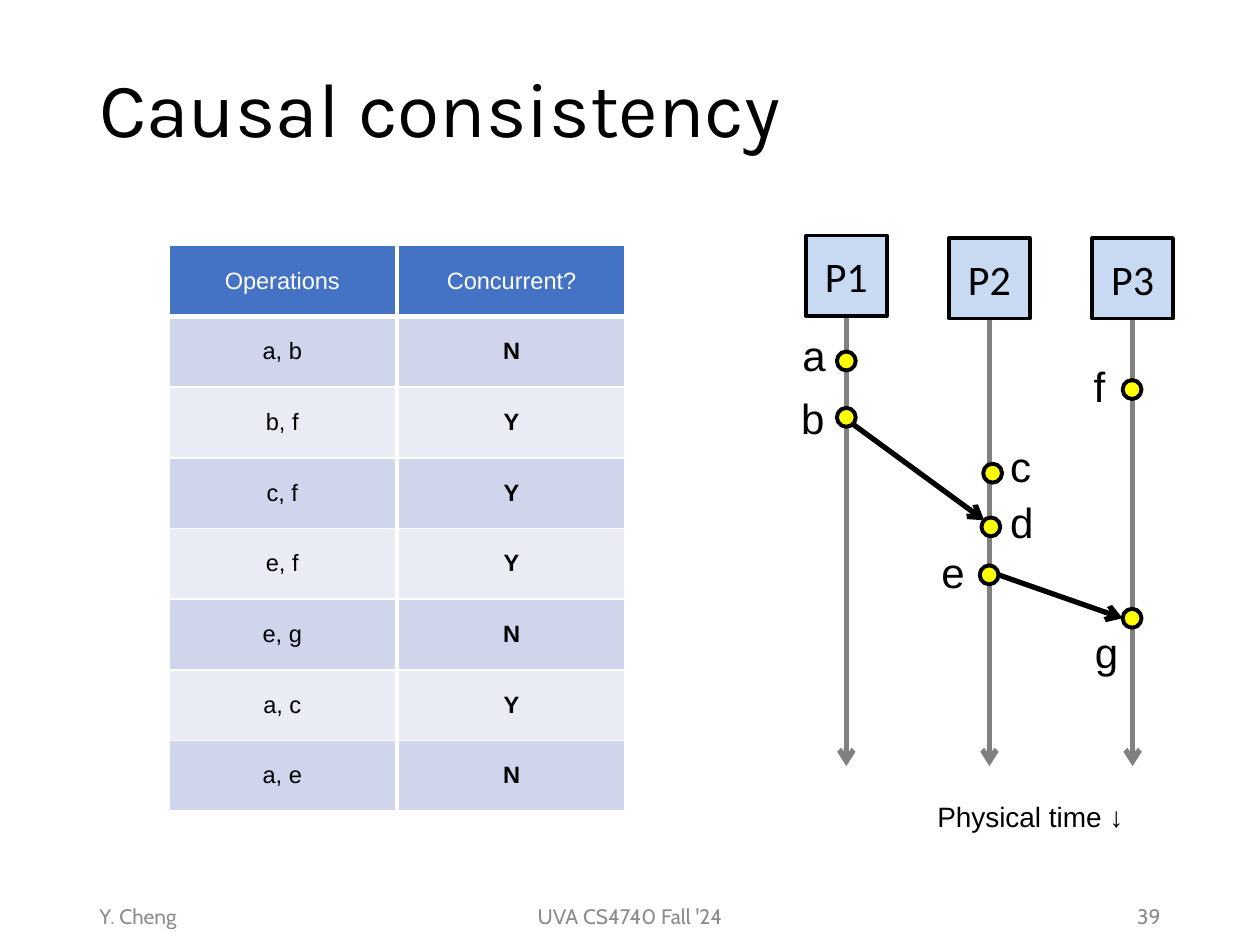
"""Build the causal consistency slide with its operation tables and process timelines."""
from dataclasses import dataclass

import pptx
import pptx.dml.color
import pptx.enum.shapes
import pptx.enum.text
import pptx.oxml
import pptx.oxml.ns
import pptx.util

Pt = pptx.util.Pt
ALIGN = pptx.enum.text.PP_ALIGN
ANCHOR = pptx.enum.text.MSO_ANCHOR
SHAPE = pptx.enum.shapes.MSO_SHAPE
COLORS = {
    "black": "000000", "white": "FFFFFF", "axis": "808080", "box": "C7DAF2",
    "dot": "FFFF00", "footer": "8C8C8C", "header": "4472C4",
    "band_dark": "CFD5EA", "band_light": "E9EBF5",
}
DOT = 10.8
BOX = 46
AXIS_END = 437.8


@dataclass
class Process:
    name: str
    x: float
    top: float


@dataclass
class Event:
    name: str
    x: float
    y: float
    label_x: float
    label_y: float


@dataclass
class Message:
    start: tuple[float, float]
    end: tuple[float, float]


@dataclass
class Caption:
    text: str
    box: tuple[float, float, float, float]
    font: str
    size: float
    color: str = "black"
    align: ALIGN = ALIGN.LEFT
    anchor: ANCHOR = ANCHOR.MIDDLE
    wrap: bool = True
    spacing: float = 1.0


PROCESSES = [
    Process("P1", 483.6, 134.6),
    Process("P2", 565.4, 136),
    Process("P3", 647.2, 136),
]
EVENTS = [
    Event("a", 483.6, 206.3, 451.4, 185),
    Event("b", 483.6, 238.5, 450.7, 220.6),
    Event("c", 567.2, 270.4, 570.2, 248),
    Event("d", 566.2, 301.1, 570.2, 280.3),
    Event("e", 565.2, 328.5, 530.8, 308.9),
    Event("f", 646.9, 222.6, 617.8, 202.5),
    Event("g", 646.9, 353.3, 618.5, 354.4),
]
MESSAGES = [
    Message((487.4, 242.4), (562.4, 297.3)),
    Message((570.6, 328.5), (641.5, 353.3)),
]
CAPTIONS = [
    Caption("Causal consistency", (49.7, 12.2, 620.6, 104.4), "Karla", 44, spacing=0.9),
    Caption("Physical time ↓", (528.5, 453.6, 123.1, 26.6), "Arial", 16,
            anchor=ANCHOR.TOP, wrap=False),
    Caption("Y. Cheng", (49.7, 509, 162, 28.8), "Cabin", 12, "footer"),
    Caption("UVA CS4740 Fall '24", (238.3, 509, 243.4, 28.8), "Cabin", 12,
            "footer", ALIGN.CENTER),
    Caption("39", (508.3, 509, 162, 28.8), "Cabin", 12, "footer", ALIGN.RIGHT),
]
TABLES = [
    (96.5, ["Operations", "a, b", "b, f", "c, f", "e, f", "e, g", "a, c", "a, e"], False),
    (227.5, ["Concurrent?", *"NYYYNYN"], True),
]


def rgb(name: str) -> pptx.dml.color.RGBColor:
    """Return the named colour."""
    return pptx.dml.color.RGBColor.from_string(COLORS[name])


def write(tf, text: str, font: str, size: float, color: str = "black",
          align: ALIGN = ALIGN.CENTER, bold: bool = False) -> None:
    """Write one formatted run into a text frame."""
    p = tf.paragraphs[0]
    p.alignment = align
    r = p.add_run()
    r.text = text
    for key, value in {"name": font, "size": Pt(size), "bold": bold}.items():
        setattr(r.font, key, value)
    r.font.color.rgb = rgb(color)


def add_caption(s, c: Caption) -> None:
    """Add a text box."""
    tf = s.shapes.add_textbox(*map(Pt, c.box)).text_frame
    for key, value in {"word_wrap": c.wrap, "vertical_anchor": c.anchor}.items():
        setattr(tf, key, value)
    write(tf, c.text, c.font, c.size, c.color, c.align)
    tf.paragraphs[0].line_spacing = c.spacing


def add_outlined(s, kind: SHAPE, x: float, y: float, size: float, fill: str):
    """Add a filled square or round shape with a black outline."""
    sp = s.shapes.add_shape(kind, Pt(x), Pt(y), Pt(size), Pt(size))
    sp.shadow.inherit = False
    sp.fill.solid()
    sp.fill.fore_color.rgb = rgb(fill)
    sp.line.color.rgb = rgb("black")
    sp.line.width = Pt(2.25)
    return sp


def add_arrow(s, start: tuple[float, float], end: tuple[float, float], color: str):
    """Add a straight connector with an open arrowhead."""
    line = s.shapes.add_connector(
        pptx.enum.shapes.MSO_CONNECTOR.STRAIGHT, *map(Pt, (*start, *end)))
    line.line.color.rgb = rgb(color)
    line.line.width = Pt(3)
    ns = pptx.oxml.ns.nsdecls("a")
    line.line._get_or_add_ln().append(
        pptx.oxml.parse_xml(f'<a:tailEnd {ns} type="arrow"/>'))
    line._element.spPr.append(pptx.oxml.parse_xml(f"<a:effectLst {ns}/>"))
    return line


def add_process(s, process: Process) -> None:
    """Add a process box and the time axis below it."""
    bottom = process.top + BOX
    axis = add_arrow(s, (process.x, bottom), (process.x, AXIS_END), "axis")
    sp = add_outlined(s, SHAPE.FLOWCHART_PROCESS, process.x - BOX / 2,
                      process.top, BOX, "box")
    sp.text_frame.vertical_anchor = ANCHOR.MIDDLE
    write(sp.text_frame, process.name, "Calibri", 24)
    axis.begin_connect(sp, 2)


def add_event(s, event: Event) -> None:
    """Add an event dot and its letter."""
    add_outlined(s, SHAPE.OVAL, event.x - DOT / 2, event.y - DOT / 2, DOT, "dot")
    add_caption(s, Caption(event.name, (event.label_x, event.label_y, 29, 36),
                           "Arial", 24, anchor=ANCHOR.TOP))


def add_column(s, left: float, values: list[str], bold: bool) -> None:
    """Add a one-column banded table."""
    row_height = 40.4
    table = s.shapes.add_table(len(values), 1, Pt(left), Pt(140.4), Pt(129.6),
                               Pt(row_height * len(values))).table
    ns = pptx.oxml.ns.nsdecls("a")
    for i, value in enumerate(values):
        table.rows[i].height = Pt(row_height)
        cell = table.cell(i, 0)
        cell.vertical_anchor = ANCHOR.MIDDLE
        for side in "LRTB":
            heavy = (i, side) in ((0, "B"), (1, "T"))
            cell._tc.get_or_add_tcPr().append(pptx.oxml.parse_xml(
                f'<a:ln{side} {ns} w="{Pt(3 if heavy else 1)}"><a:solidFill>'
                f'<a:srgbClr val="{COLORS["white"]}"/></a:solidFill></a:ln{side}>'))
        cell.fill.solid()
        fill = "header" if i == 0 else ("band_light", "band_dark")[i % 2]
        cell.fill.fore_color.rgb = rgb(fill)
        write(cell.text_frame, value, "Arial", 13.5,
              "black" if i else "white", bold=bold and i > 0)


def main() -> None:
    """Build and save the slide."""
    prs = pptx.Presentation()
    prs.slide_width, prs.slide_height = Pt(720), Pt(540)
    s = prs.slides.add_slide(prs.slide_layouts[6])
    for column in TABLES:
        add_column(s, *column)
    for process in PROCESSES:
        add_process(s, process)
    for event in EVENTS:
        add_event(s, event)
    for message in MESSAGES:
        add_arrow(s, message.start, message.end, "black")
    for caption in CAPTIONS:
        add_caption(s, caption)
    prs.save("out.pptx")


if __name__ == "__main__":
    main()
